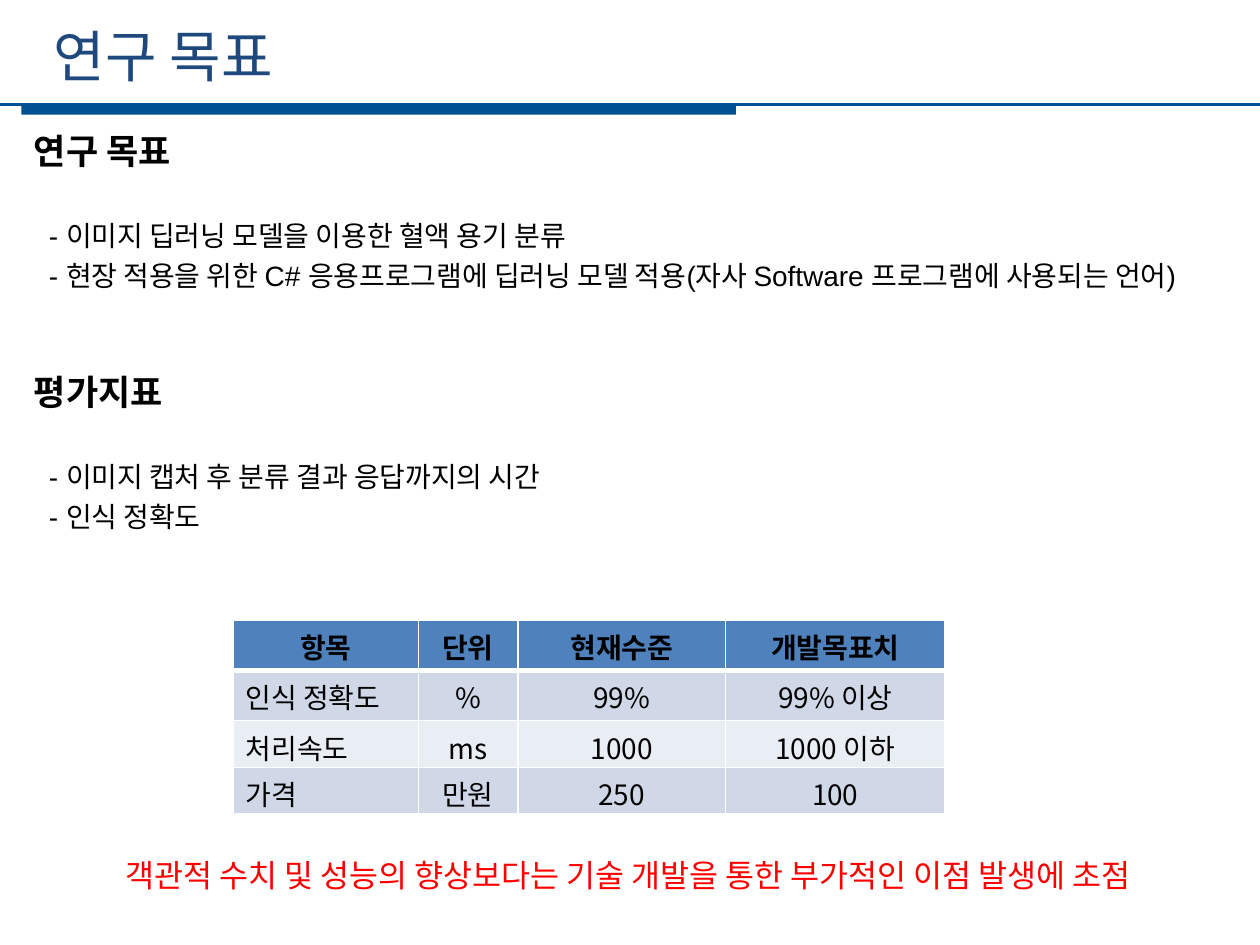
"""Build the research goals slide with its evaluation table."""
from dataclasses import dataclass

from lxml import etree
from pptx import Presentation
from pptx.dml.color import RGBColor
from pptx.enum import shapes, text
from pptx.oxml import ns
from pptx.util import Inches, Pt

COLORS = {
    "navy": "1F497D", "bar": "005094", "black": "000000", "red": "FF0000",
    "white": "FFFFFF", "header": "4F81BD", "dark_band": "D0D8E8", "light_band": "E9EDF4",
}
KOREAN = "Noto Sans CJK KR"


@dataclass
class Style:
    size: int
    color: str = "black"
    bold: bool = False
    font: str = KOREAN
    align: text.PP_ALIGN = text.PP_ALIGN.LEFT


@dataclass
class Section:
    heading: str
    items: list[str]


SECTIONS = [
    Section("연구 목표", [
        "- 이미지 딥러닝 모델을 이용한 혈액 용기 분류",
        "- 현장 적용을 위한 C# 응용프로그램에 딥러닝 모델 적용(자사 Software 프로그램에 사용되는 언어)",
    ]),
    Section("평가지표", [
        "- 이미지 캡처 후 분류 결과 응답까지의 시간",
        "- 인식 정확도",
    ]),
]
TABLE_ROWS = [
    ["항목", "단위", "현재수준", "개발목표치"],
    ["인식 정확도", "%", "99%", "99% 이상"],
    ["처리속도", "ms", "1000", "1000 이하"],
    ["가격", "만원", "250", "100"],
]
COLUMN_WIDTHS = [1.47, 0.79, 1.65, 1.74]
ROW_HEIGHTS = [0.4, 0.4, 0.37, 0.37]
ROW_FILLS = ["header", "dark_band", "light_band", "dark_band"]


def rgb(name: str) -> RGBColor:
    """Return a named colour."""
    return RGBColor.from_string(COLORS[name])


def write(paragraph, content: str, style: Style) -> None:
    """Put styled text into a paragraph."""
    paragraph.text = content
    paragraph.alignment = style.align
    for span in paragraph.runs:
        span.font.size = Pt(style.size)
        span.font.bold = style.bold
        span.font.name = style.font
        span.font.color.rgb = rgb(style.color)
        etree.SubElement(span.font._element, ns.qn("a:ea"), typeface=KOREAN)


def add_box(page, left: float, top: float, width: float, height: float,
            anchor: text.MSO_ANCHOR):
    """Add a wrapping text box and return its frame."""
    box = page.shapes.add_textbox(Inches(left), Inches(top), Inches(width), Inches(height))
    frame = box.text_frame
    frame.word_wrap = True
    frame.vertical_anchor = anchor
    return frame


def add_header(page) -> None:
    """Draw the title with the bar and rule below it."""
    bar = page.shapes.add_shape(shapes.MSO_SHAPE.RECTANGLE, Inches(0.17), Inches(0.83),
                                Inches(5.67), Inches(0.08))
    bar.shadow.inherit = False
    bar.fill.solid()
    bar.fill.fore_color.rgb = rgb("bar")
    bar.line.fill.background()
    rule = page.shapes.add_connector(shapes.MSO_CONNECTOR.STRAIGHT, Inches(0), Inches(0.83),
                                     Inches(10), Inches(0.83))
    rule.line.color.rgb = rgb("bar")
    rule.line.width = Pt(1.25)
    etree.SubElement(rule._element.spPr, ns.qn("a:effectLst"))
    title = add_box(page, 0.33, 0.12, 8.96, 0.64, text.MSO_ANCHOR.MIDDLE)
    write(title.paragraphs[0], "연구 목표", Style(32, "navy"))


def add_sections(page, sections: list[Section]) -> None:
    """Write the headings and their indented items."""
    frame = add_box(page, 0.17, 0.99, 9.48, 3.65, text.MSO_ANCHOR.TOP)
    line = Pt(23)
    for index, section in enumerate(sections):
        heading = frame.add_paragraph() if index else frame.paragraphs[0]
        write(heading, section.heading, Style(20, bold=True, font="Arial"))
        heading.line_spacing = line
        heading.space_after = line
        if index:
            heading.space_before = 2 * line
        for item in section.items:
            paragraph = frame.add_paragraph()
            write(paragraph, item, Style(16, font="Arial"))
            paragraph.line_spacing = line
            paragraph._p.get_or_add_pPr().set("indent", str(Inches(0.12)))


def add_borders(cell, bottom_width: float) -> None:
    """Give a cell white borders."""
    properties = cell._tc.get_or_add_tcPr()
    widths = {"lnL": 1, "lnR": 1, "lnT": 1, "lnB": bottom_width}
    for position, (side, width) in enumerate(widths.items()):
        border = etree.Element(ns.qn(f"a:{side}"), w=str(Pt(width)))
        fill = etree.SubElement(border, ns.qn("a:solidFill"))
        etree.SubElement(fill, ns.qn("a:srgbClr"), val=COLORS["white"])
        properties.insert(position, border)


def add_metrics(page) -> None:
    """Draw the evaluation table."""
    table = page.shapes.add_table(
        len(TABLE_ROWS), len(COLUMN_WIDTHS), Inches(1.85), Inches(4.92),
        Inches(sum(COLUMN_WIDTHS)), Inches(sum(ROW_HEIGHTS))).table
    for column, width in zip(table.columns, COLUMN_WIDTHS):
        column.width = Inches(width)
    for row_index, values in enumerate(TABLE_ROWS):
        is_header = row_index == 0
        table.rows[row_index].height = Inches(ROW_HEIGHTS[row_index])
        for column_index, value in enumerate(values):
            cell = table.cell(row_index, column_index)
            centred = is_header or column_index > 0
            align = text.PP_ALIGN.CENTER if centred else text.PP_ALIGN.LEFT
            write(cell.text_frame.paragraphs[0], value, Style(16, bold=is_header, align=align))
            cell.margin_bottom = Inches(0.05 if row_index < 2 else 0)
            cell.fill.solid()
            cell.fill.fore_color.rgb = rgb(ROW_FILLS[row_index])
            add_borders(cell, 3 if is_header else 1)


def main() -> None:
    """Build and save the deck."""
    deck = Presentation()
    deck.slide_width, deck.slide_height = Inches(10), Inches(7.5)
    page = deck.slides.add_slide(deck.slide_layouts[6])
    add_header(page)
    add_sections(page, SECTIONS)
    add_metrics(page)
    closing = add_box(page, 0.29, 6.74, 9.39, 0.4, text.MSO_ANCHOR.MIDDLE)
    write(closing.paragraphs[0],
          "객관적 수치 및 성능의 향상보다는 기술 개발을 통한 부가적인 이점 발생에 초점",
          Style(18, "red", align=text.PP_ALIGN.CENTER))
    deck.save("out.pptx")


if __name__ == "__main__":
    main()
